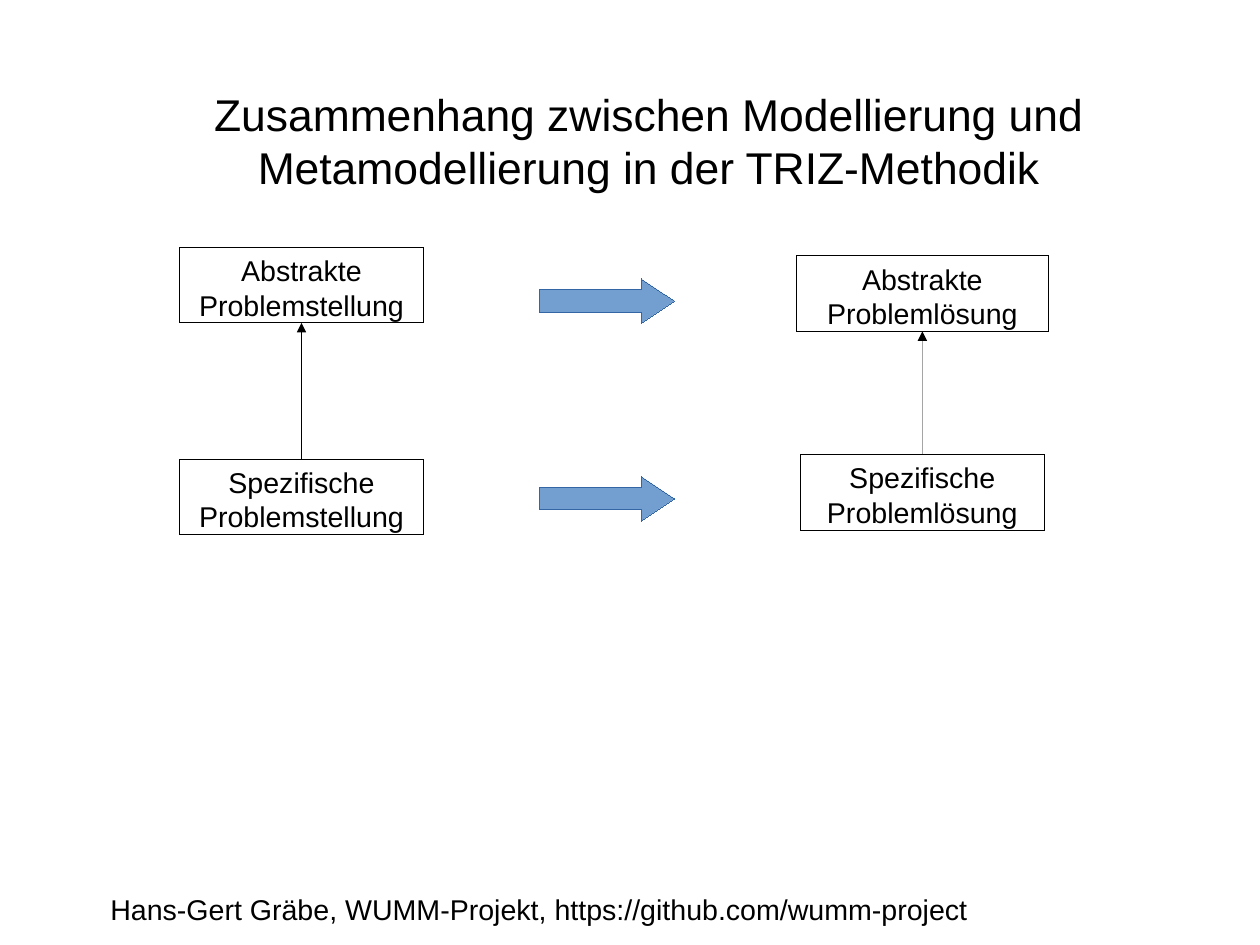
from dataclasses import dataclass

from lxml import etree
from pptx import Presentation
from pptx import util as u
from pptx.dml.color import RGBColor
from pptx.enum import shapes, text
from pptx.oxml.ns import qn

BLACK = RGBColor(0x00, 0x00, 0x00)
ARROW_FILL = RGBColor(0x72, 0x9F, 0xCF)
ARROW_LINE = RGBColor(0x34, 0x65, 0xA4)

# All lengths below are percentages of the slide's width and height
SLIDE_W, SLIDE_H = u.Cm(28), u.Cm(21)
BOX_H = 7.98
ARROW_X, ARROW_W, ARROW_H = 42.83, 10.71, 4.72
HAIRLINE = u.Emu(1)


@dataclass
class Box:
    label: str
    top: float
    width: float = 19.33


@dataclass
class Column:
    center: float
    abstract: Box
    specific: Box


COLUMNS = [
    Column(23.93, Box("Abstrakte Problemstellung", 26.2),
           Box("Spezifische Problemstellung", 48.58)),
    Column(73.2, Box("Abstrakte Problemlösung", 27.09, 19.96),
           Box("Spezifische Problemlösung", 48.13)),
]
ARROW_TOPS = [29.5, 50.42]


def area(x: float, y: float, w: float, h: float) -> tuple:
    """Turn percentages into left, top, width and height."""
    return (int(SLIDE_W * x / 100), int(SLIDE_H * y / 100),
            int(SLIDE_W * w / 100), int(SLIDE_H * h / 100))


def write(sp, words: str, size: int, align) -> None:
    tf = sp.text_frame
    tf.text = words
    tf.word_wrap = True
    tf.auto_size = text.MSO_AUTO_SIZE.NONE
    tf.vertical_anchor = text.MSO_ANCHOR.TOP
    tf.margin_left = tf.margin_right = u.Inches(0.1)
    tf.margin_top = tf.margin_bottom = u.Inches(0.05)
    p = tf.paragraphs[0]
    p.alignment = align
    p.space_before = u.Pt(0)
    font = p.runs[0].font
    font.name, font.size = "Arial", u.Pt(size)
    font.color.rgb = BLACK


def outline(sp, color: RGBColor) -> None:
    sp.line.color.rgb = color
    sp.line.width = HAIRLINE


def add_box(s, box: Box, center: float):
    sp = s.shapes.add_shape(shapes.MSO_SHAPE.RECTANGLE,
                            *area(center - box.width / 2, box.top, box.width, BOX_H))
    sp.shadow.inherit = False
    sp.fill.background()
    outline(sp, BLACK)
    write(sp, box.label, 18, text.PP_ALIGN.CENTER)
    return sp


def add_block_arrow(s, top: float) -> None:
    sp = s.shapes.add_shape(shapes.MSO_SHAPE.RIGHT_ARROW,
                            *area(ARROW_X, top, ARROW_W, ARROW_H))
    sp.shadow.inherit = False
    sp.adjustments[0], sp.adjustments[1] = 0.5, 0.75
    sp.fill.solid()
    sp.fill.fore_color.rgb = ARROW_FILL
    outline(sp, ARROW_LINE)


def link(s, lower, upper) -> None:
    """Draw an arrow from the top of one box to the bottom of another."""
    cx = s.shapes.add_connector(shapes.MSO_CONNECTOR.STRAIGHT, 0, 0, 0, 0)
    cx.begin_connect(lower, 0)
    cx.end_connect(upper, 2)
    outline(cx, BLACK)
    etree.SubElement(cx.line._get_or_add_ln(), qn("a:tailEnd"), type="triangle")
    etree.SubElement(cx._element.spPr, qn("a:effectLst"))


def main() -> None:
    prs = Presentation()
    prs.slide_width = SLIDE_W
    prs.slide_height = SLIDE_H
    s = prs.slides.add_slide(prs.slide_layouts[5])

    # Title
    title = s.shapes.title
    title.left, title.top, title.width, title.height = area(13.57, 8.59, 75.77, 13.3)
    write(title, "Zusammenhang zwischen Modellierung und "
          "Metamodellierung in der TRIZ-Methodik", 28, text.PP_ALIGN.CENTER)

    # Problem and solution columns
    for col in COLUMNS:
        lower = add_box(s, col.specific, col.center)
        upper = add_box(s, col.abstract, col.center)
        link(s, lower, upper)

    # Steps from problem to solution
    for top in ARROW_TOPS:
        add_block_arrow(s, top)

    # Source line
    footer = s.shapes.add_textbox(*area(7.86, 93.83, 82.21, 4.72))
    write(footer, "Hans-Gert Gräbe, WUMM-Projekt, https://github.com/wumm-project",
          18, text.PP_ALIGN.LEFT)

    prs.save("out.pptx")


if __name__ == "__main__":
    main()
